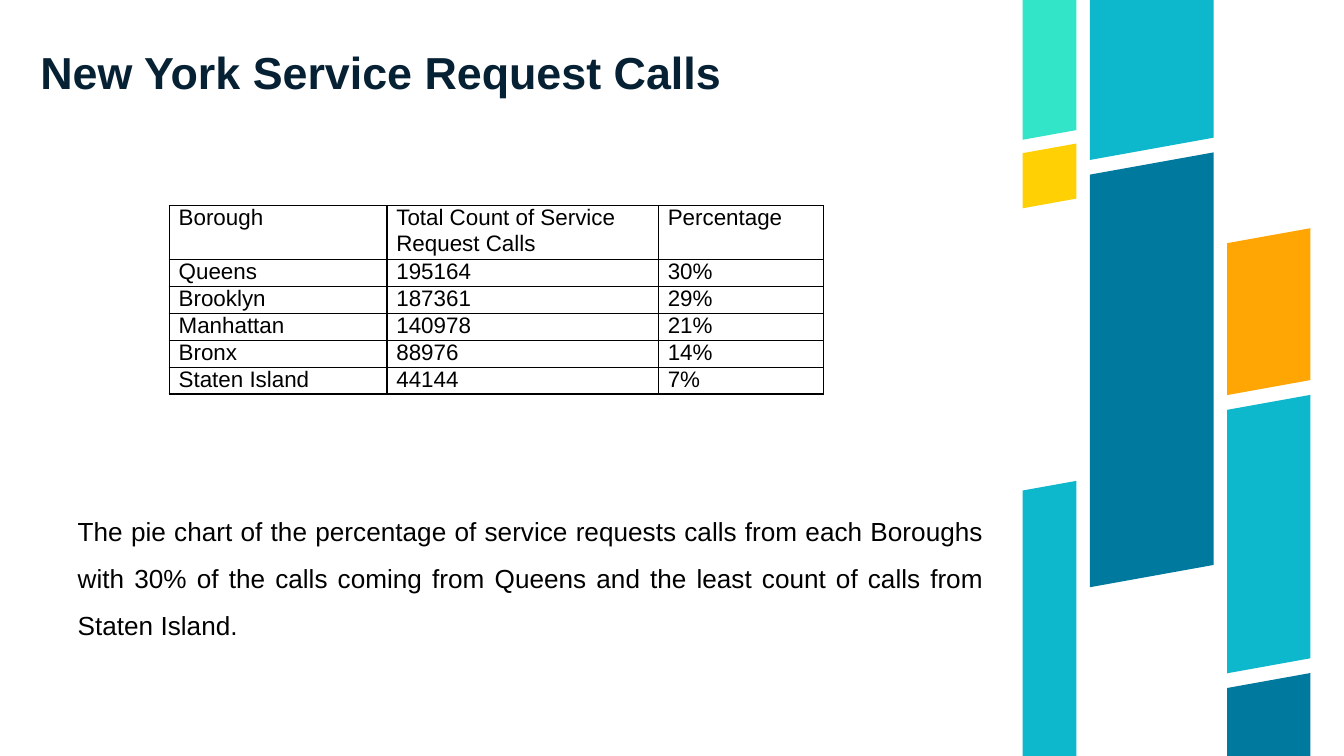
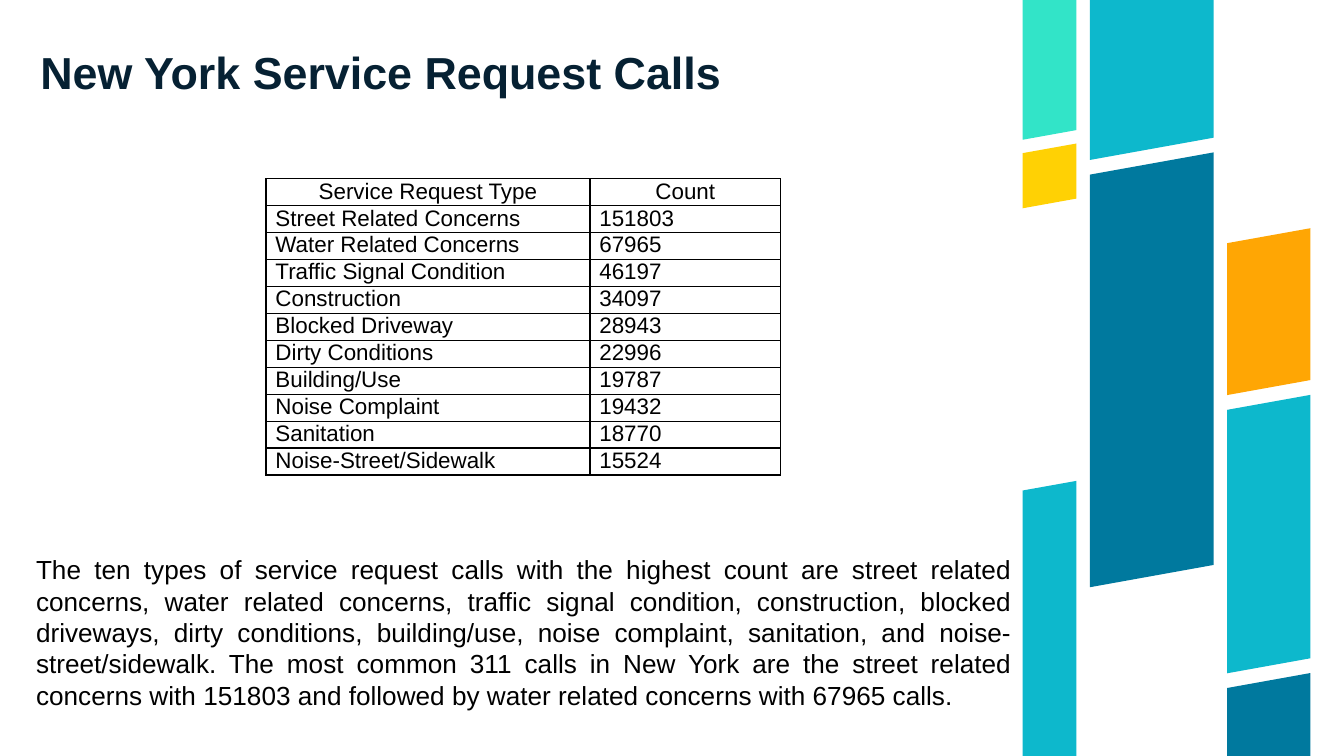
from lxml import etree
from pptx import Presentation
from pptx.dml.color import RGBColor
from pptx.enum.text import MSO_ANCHOR, MSO_AUTO_SIZE, PP_ALIGN
from pptx.oxml.ns import qn
from pptx.util import Inches, Pt

LEFT, CENTER, JUSTIFY = PP_ALIGN.LEFT, PP_ALIGN.CENTER, PP_ALIGN.JUSTIFY
TOP = MSO_ANCHOR.TOP
NO_AUTOFIT = MSO_AUTO_SIZE.NONE

COLORS = {
    "title": "062133", "text": "000000", "border": "000000",
    "cyan": "0DB8CC", "blue": "00799E", "mint": "32E4C8",
    "yellow": "FFD104", "orange": "FFA604",
}
FONT = "Arial"
SLIDE_WIDTH = 10
SLIDE_HEIGHT = SLIDE_WIDTH * 9 / 16
TITLE = "New York Service Request Calls"
TITLE_BOX = (0.2, 0.28, 12.98, 0.5)
TITLE_ONLY_LAYOUT = 5
ROW_HEIGHT = 0.2
BORDER_WIDTH = Pt(0.75)

BAND_SLOPE = 0.18
BAND_COLUMNS = [
    (7.61, 8.01, [(0, 1.04, "mint"), (1.14, 1.55, "yellow"),
                  (3.65, SLIDE_HEIGHT, "cyan")]),
    (8.11, 9.03, [(0, 1.19, "cyan"), (1.3, 4.37, "blue")]),
    (9.13, 9.75, [(1.81, 2.94, "orange"), (3.05, 5.01, "cyan"),
                  (5.12, SLIDE_HEIGHT, "blue")]),
]

BOROUGH_ROWS = [
    ("Borough", "Total Count of Service Request Calls", "Percentage"),
    ("Queens", "195164", "30%"),
    ("Brooklyn", "187361", "29%"),
    ("Manhattan", "140978", "21%"),
    ("Bronx", "88976", "14%"),
    ("Staten Island", "44144", "7%"),
]
BOROUGH_NOTE = (
    "The pie chart of the percentage of service requests calls from each "
    "Boroughs with 30% of the calls coming from Queens and the least count "
    "of calls from Staten Island."
)
REQUEST_ROWS = [
    ("Service Request Type", "Count"),
    ("Street Related Concerns", "151803"),
    ("Water Related Concerns", "67965"),
    ("Traffic Signal Condition", "46197"),
    ("Construction", "34097"),
    ("Blocked Driveway", "28943"),
    ("Dirty Conditions", "22996"),
    ("Building/Use", "19787"),
    ("Noise Complaint", "19432"),
    ("Sanitation", "18770"),
    ("Noise-Street/Sidewalk", "15524"),
]
REQUEST_NOTE = (
    "The ten types of service request calls with the highest count are street "
    "related concerns, water related concerns, traffic signal condition, "
    "construction, blocked driveways, dirty conditions, building/use, noise "
    "complaint, sanitation, and noise- street/sidewalk. The most common 311 "
    "calls in New York are the street related concerns with 151803 and "
    "followed by water related concerns with 67965 calls."
)


def rgb(name):
    """Return the named palette colour."""
    return RGBColor.from_string(COLORS[name])


def write_text(frame, text, size=14, color="text", bold=False, align=LEFT,
               spacing=1.0):
    """Fill a text frame with one formatted paragraph."""
    frame.word_wrap = True
    frame.vertical_anchor = TOP
    paragraph = frame.paragraphs[0]
    paragraph.alignment = align
    paragraph.line_spacing = spacing
    run = paragraph.add_run()
    run.text = text
    run.font.name = FONT
    run.font.size = Pt(size)
    run.font.bold = bold
    run.font.color.rgb = rgb(color)


def add_band(slide, left, right, top, bottom, color):
    """Draw one band whose inner ends rise to the right."""
    rise = BAND_SLOPE * (right - left)
    right_top = top - rise if top > 0 else top
    right_bottom = bottom - rise if bottom < SLIDE_HEIGHT else bottom
    corners = [(left, top), (right, right_top), (right, right_bottom),
               (left, bottom)]
    points = [(Inches(x), Inches(y)) for x, y in corners]
    outline = slide.shapes.build_freeform(*points[0])
    outline.add_line_segments(points[1:], close=True)
    band = outline.convert_to_shape()
    band.shadow.inherit = False
    band.fill.solid()
    band.fill.fore_color.rgb = rgb(color)
    band.line.fill.background()


def add_titled_slide(deck):
    """Add a slide with the shared bands and title."""
    slide = deck.slides.add_slide(deck.slide_layouts[TITLE_ONLY_LAYOUT])
    for left, right, bands in BAND_COLUMNS:
        for top, bottom, color in bands:
            add_band(slide, left, right, top, bottom, color)
    title = slide.shapes.title
    title.left, title.top, title.width, title.height = map(Inches, TITLE_BOX)
    title.text_frame.auto_size = NO_AUTOFIT
    write_text(title.text_frame, TITLE, size=24, color="title", bold=True)
    return slide


def add_note(slide, text, box, spacing=1.0):
    """Add the justified paragraph below the table."""
    note = slide.shapes.add_textbox(*map(Inches, box))
    write_text(note.text_frame, text, align=JUSTIFY, spacing=spacing)


def outline_cell(cell):
    """Put a thin border on all four sides of a cell."""
    properties = cell._tc.get_or_add_tcPr()
    for side in ("a:lnL", "a:lnR", "a:lnT", "a:lnB"):
        border = etree.SubElement(properties, qn(side), w=str(BORDER_WIDTH))
        fill = etree.SubElement(border, qn("a:solidFill"))
        etree.SubElement(fill, qn("a:srgbClr"), val=COLORS["border"])


def add_calls_table(slide, rows, left, top, widths, header_height=ROW_HEIGHT,
                    header_align=LEFT):
    """Add a plain bordered table with a header row."""
    heights = [header_height] + [ROW_HEIGHT] * (len(rows) - 1)
    table = slide.shapes.add_table(
        len(rows), len(widths), Inches(left), Inches(top),
        Inches(sum(widths)), Inches(sum(heights))).table
    table.first_row = table.horz_banding = False
    for column, width in zip(table.columns, widths):
        column.width = Inches(width)
    for row_index, (row, height) in enumerate(zip(rows, heights)):
        table.rows[row_index].height = Inches(height)
        for column_index, text in enumerate(row):
            cell = table.cell(row_index, column_index)
            cell.margin_left = cell.margin_right = Inches(0.07)
            cell.margin_top = cell.margin_bottom = 0
            outline_cell(cell)
            cell.fill.background()
            write_text(cell.text_frame, text, size=12,
                       align=LEFT if row_index else header_align)


def main():
    """Build both slides and save the deck."""
    deck = Presentation()
    deck.slide_width = Inches(SLIDE_WIDTH)
    deck.slide_height = Inches(SLIDE_HEIGHT)

    boroughs = add_titled_slide(deck)
    add_note(boroughs, BOROUGH_NOTE, (0.48, 3.67, 6.94, 1.12), spacing=1.5)
    add_calls_table(boroughs, BOROUGH_ROWS, 1.26, 1.53, (1.62, 2.02, 1.23),
                    header_height=2 * ROW_HEIGHT)

    requests = add_titled_slide(deck)
    add_note(requests, REQUEST_NOTE, (0.17, 4.07, 7.46, 1.28))
    add_calls_table(requests, REQUEST_ROWS, 1.98, 1.33, (2.41, 1.42),
                    header_align=CENTER)

    deck.save("out.pptx")


if __name__ == "__main__":
    main()
